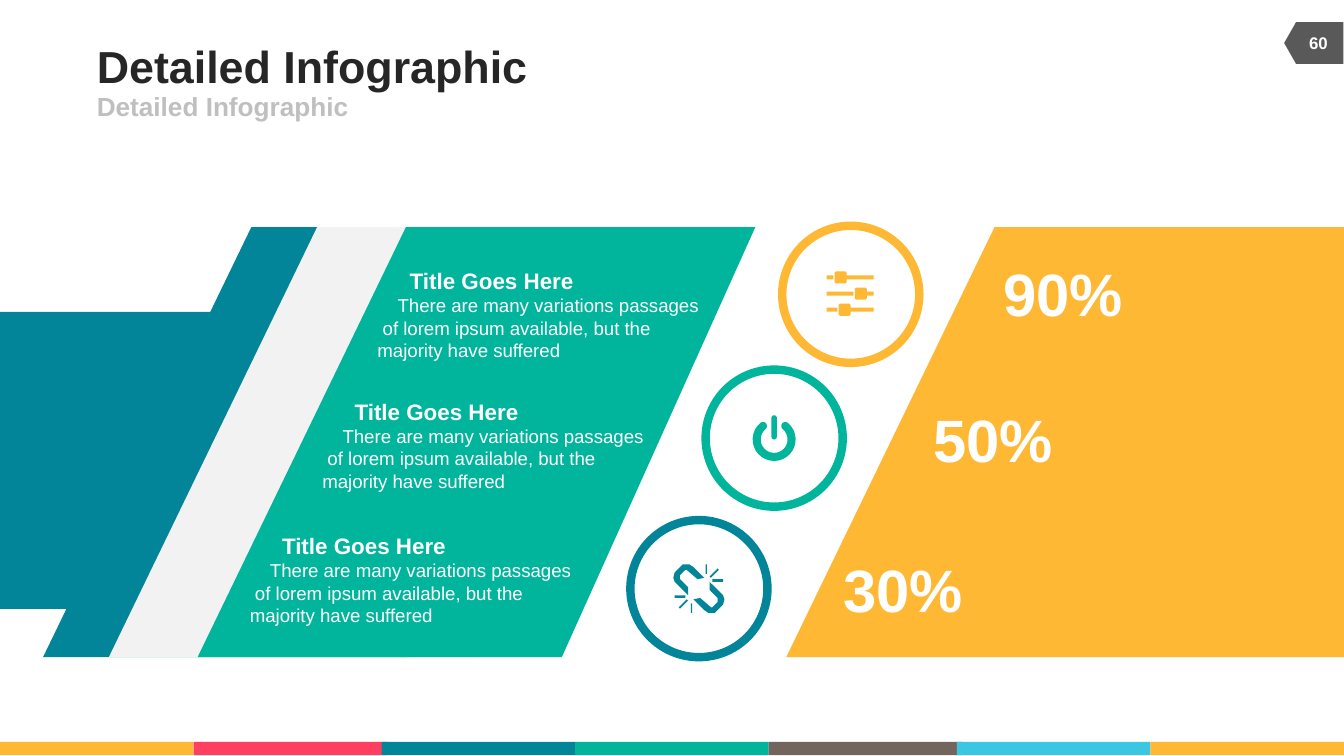
from math import cos, radians, sin

from lxml.etree import SubElement
from pptx import Presentation
from pptx.dml.color import RGBColor
from pptx.enum.shapes import MSO_SHAPE as SHAPE
from pptx.enum.text import MSO_ANCHOR as ANCHOR, MSO_AUTO_SIZE as AUTO, PP_ALIGN as ALIGN
from pptx.oxml.ns import qn
from pptx.util import Inches, Pt

THEME = {
    "font": "Arial",
    "yellow": "FEB834", "red": "FF3F5F", "blue": "028599", "green": "01B59C",
    "brown": "73655D", "sky": "3BC7E2", "light": "F2F2F2", "white": "FFFFFF",
    "ink": "262626", "muted": "BFBFBF", "tag": "595959",
    "title": 24, "subtitle": 14, "heading": 12, "body": 10, "percent": 32, "page": 9,
}
WIDTH = 10
HEIGHT = WIDTH * 9 / 16

TITLE = "Detailed Infographic"
SUBTITLE = "Detailed Infographic"
PAGE = "60"
STRIPE = [(0, "yellow"), (1.44, "red"), (2.84, "blue"), (4.28, "green"),
          (5.72, "brown"), (7.12, "sky"), (8.56, "yellow")]

HEADING = "Title Goes Here"
BODY = ["There are many variations passages",
        " of lorem ipsum available, but the",
        "majority have suffered"]
# Indents follow the slanted edge
HEADING_INDENT, BODY_INDENT, BODY_FIRST_LINE = 0.28, 0.04, 0.15
ITEMS = [(2.67, 1.94), (2.26, 2.91), (1.72, 3.91)]
PERCENTS = [("90%", 7.46, 1.91), ("50%", 6.94, 2.99), ("30%", 6.27, 4.11)]

# Slanted panels: top-left x and colour
TOP, BOTTOM, SLANT = 1.69, 4.89, 1.55
PANELS = [(1.87, "blue"), (2.36, "light"), (3.02, "green")]
PANEL_TOP_W, PANEL_BOTTOM_W = 2.6, 2.71
SIDE_BLOCK = [(0, 2.32), (2.39, 2.32), (1.31, 4.53), (0, 4.53)]
RIGHT_PANEL_X = 7.4
CIRCLE = 1.02

# Half of the broken link, as offsets from its centre
HALF_LINK = [
    [(-.01, -.07), (-.08, -.13), (-.09, -.14), (-.1, -.14), (-.11, -.13), (-.14, -.1),
     (-.14, -.07), (-.08, -.01), (-.08, .05), (-.1, .03), (-.17, -.04), (-.18, -.05),
     (-.19, -.08), (-.18, -.12), (-.14, -.16), (-.12, -.18), (-.07, -.18),
     (-.04, -.16), (.03, -.09), (.04, -.08)],
    [(.05, -.18), (.06, -.18), (.06, -.11), (.05, -.11)],
    [(.08, -.09), (.14, -.15), (.15, -.14), (.09, -.08)],
    [(.1, -.07), (.18, -.07), (.18, -.05), (.1, -.05)],
]
SLIDER_KNOBS = [(-.08, -.12), (.07, 0), (-.05, .12)]


def box(x1, y1, x2, y2, cut=0):
    """Rectangle outline with corners cut off by the given length."""
    if not cut:
        return [(x1, y1), (x2, y1), (x2, y2), (x1, y2)]
    return [(x1 + cut, y1), (x2 - cut, y1), (x2, y1 + cut), (x2, y2 - cut),
            (x2 - cut, y2), (x1 + cut, y2), (x1, y2 - cut), (x1, y1 + cut)]


def arc(cx, cy, radius, start, end, steps=24):
    """Points on an arc; angles run clockwise in degrees from the top."""
    angles = [radians(start + (end - start) * i / steps) for i in range(steps + 1)]
    return [(cx + radius * sin(a), cy - radius * cos(a)) for a in angles]


def slider_icon():
    contours = []
    for x, y in SLIDER_KNOBS:
        contours += [box(-.18, y - .02, x - .05, y + .01),
                     box(x - .04, y - .05, x + .05, y + .04, cut=.01),
                     box(x + .05, y - .02, .17, y + .01)]
    return contours


def power_icon(start=40, end=320, cy=.01):
    first_cap, last_cap = (arc(0, cy, .13, a, a, 1)[0] for a in (start, end))
    ring = (arc(0, cy, .16, start, end) + arc(*last_cap, .03, end, end + 180)
            + arc(0, cy, .1, end, start) + arc(*first_cap, .03, start + 180, start + 360))
    stem = arc(0, -.15, .02, -90, 90) + arc(0, -.01, .02, 90, 270)
    return [ring, stem]


def link_icon():
    return HALF_LINK + [[(-x, -y) for x, y in contour] for contour in HALF_LINK]


BADGES = [(4.69, 3.87, "blue", link_icon()),
          (5.82, 1.68, "yellow", slider_icon()),
          (5.25, 2.75, "green", power_icon())]


def color(name):
    return RGBColor.from_string(THEME[name])


def paint(sp, fill, line=None):
    sp.shadow.inherit = False
    sp.fill.solid()
    sp.fill.fore_color.rgb = color(fill)
    if line:
        sp.line.color.rgb = color(line)
        sp.line.width = Pt(4.5)
    else:
        sp.line.fill.background()
    return sp


def add_preset(shapes, kind, x, y, w, h, fill, line=None):
    return paint(shapes.add_shape(kind, *map(Inches, (x, y, w, h))), fill, line)


def add_outline(shapes, contours, fill, cx=0, cy=0):
    contours = [[(Inches(cx + x), Inches(cy + y)) for x, y in c] for c in contours]
    builder = shapes.build_freeform(*contours[0][0])
    for i, contour in enumerate(contours):
        if i:
            builder.move_to(*contour[0])
        builder.add_line_segments(contour[1:], close=True)
    paint(builder.convert_to_shape(), fill)


def setup_frame(sp, wrap=True, inset=True, anchor=ANCHOR.MIDDLE):
    tf = sp.text_frame
    tf.auto_size, tf.word_wrap, tf.vertical_anchor = AUTO.NONE, wrap, anchor
    if not inset:
        tf.margin_left = tf.margin_right = tf.margin_top = tf.margin_bottom = 0
    return tf


def write(p, lines, size, fill, bold=True, align=ALIGN.LEFT, indent=0, first_line=0):
    pPr = p._p.get_or_add_pPr()
    pPr.set("marL", str(Inches(indent)))
    pPr.set("indent", str(Inches(first_line)))
    SubElement(pPr, qn("a:buNone"))
    p.alignment, p.space_before = align, Pt(0)
    for i, line in enumerate(lines):
        if i:
            p.add_line_break()
        r = p.add_run()
        r.text = line
        r.font.name, r.font.size, r.font.bold = THEME["font"], Pt(THEME[size]), bold
        r.font.color.rgb = color(fill)


def add_textbox(shapes, x, y, w, h, **frame):
    return setup_frame(shapes.add_textbox(*map(Inches, (x, y, w, h))), **frame)


def fill_placeholder(sp, text, size, fill, x, y, w, h):
    sp.left, sp.top, sp.width, sp.height = map(Inches, (x, y, w, h))
    write(setup_frame(sp, wrap=False, inset=False).paragraphs[0], [text], size, fill)


def main():
    prs = Presentation()
    prs.slide_width, prs.slide_height = Inches(WIDTH), Inches(HEIGHT)
    slide = prs.slides.add_slide(prs.slide_layouts[1])
    shapes = slide.shapes
    fill_placeholder(shapes.title, TITLE, "title", "ink", 0.72, 0.29, 6.17, 0.39)
    fill_placeholder(slide.placeholders[1], SUBTITLE, "subtitle", "muted",
                     0.72, 0.68, 4.5, 0.22)

    for x, fill in STRIPE:
        add_preset(shapes, SHAPE.RECTANGLE, x, 5.52, 1.44, 0.1, fill)
    tag = add_preset(shapes, SHAPE.FLOWCHART_OFFPAGE_CONNECTOR, 9.62, 0.1, 0.31, 0.44, "tag")
    tag.rotation = 90
    tf = add_textbox(shapes, 9.6, 0.17, 0.42, 0.3)
    write(tf.paragraphs[0], [PAGE], "page", "white", align=ALIGN.CENTER)

    for x, y, fill, icon in BADGES:
        add_preset(shapes, SHAPE.OVAL, x, y, CIRCLE, CIRCLE, "white", fill)
        add_outline(shapes, icon, fill, x + CIRCLE / 2, y + CIRCLE / 2)

    add_outline(shapes, [SIDE_BLOCK], "blue")
    for x, fill in PANELS:
        foot = x - SLANT
        add_outline(shapes, [[(x, TOP), (x + PANEL_TOP_W, TOP),
                              (foot + PANEL_BOTTOM_W, BOTTOM), (foot, BOTTOM)]], fill)
    add_outline(shapes, [[(RIGHT_PANEL_X, TOP), (WIDTH, TOP), (WIDTH, BOTTOM),
                          (RIGHT_PANEL_X - SLANT, BOTTOM)]], "yellow")

    for x, y in ITEMS:
        tf = add_textbox(shapes, x, y, 2.71, 0.81, anchor=ANCHOR.TOP)
        write(tf.paragraphs[0], [HEADING], "heading", "white", indent=HEADING_INDENT)
        write(tf.add_paragraph(), BODY, "body", "white", bold=False,
              indent=BODY_INDENT, first_line=BODY_FIRST_LINE)
    for text, x, y in PERCENTS:
        tf = add_textbox(shapes, x, y, 0.9, 0.54, wrap=False, inset=False)
        write(tf.paragraphs[0], [text], "percent", "white", align=ALIGN.CENTER)

    prs.save("out.pptx")


if __name__ == "__main__":
    main()
